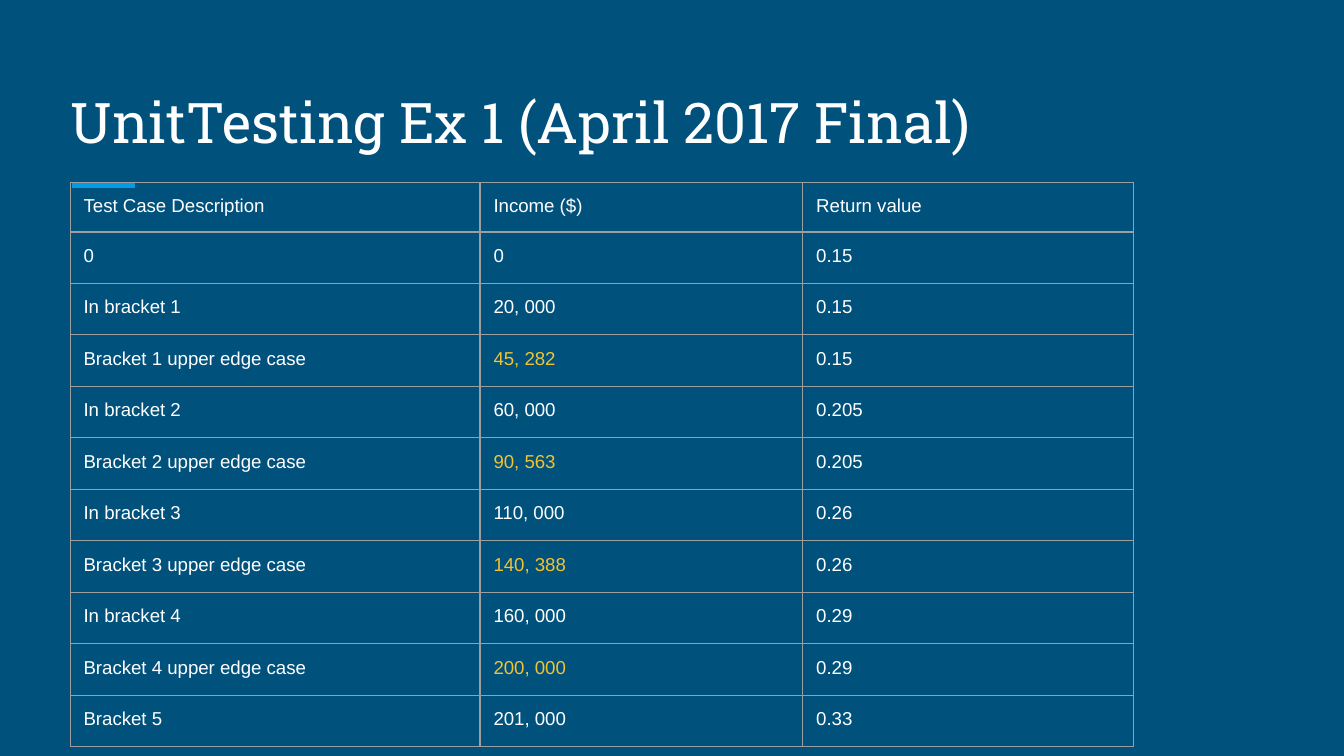
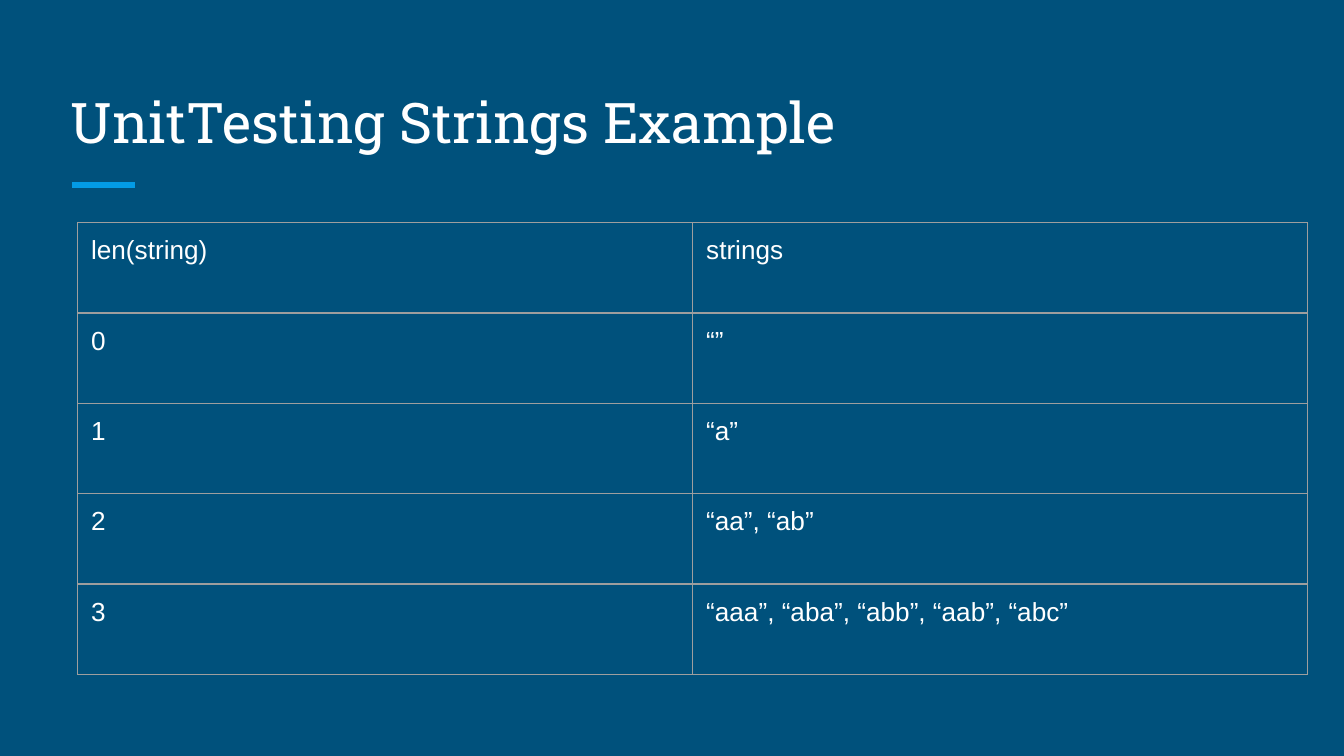
import pptx
import pptx.dml.color
import pptx.enum.shapes
import pptx.enum.text
import pptx.oxml
import pptx.oxml.ns
import pptx.util
import lxml.etree

Pt = pptx.util.Pt
COLORS = {
    "back": "00517C",
    "accent": "039BE5",
    "text": "FFFFFF",
    "edge": "F1C232",
    "grid": "9E9E9E",
}


def color(name):
    return pptx.dml.color.RGBColor.from_string(COLORS[name])


class Deck:
    head = "Roboto Slab"
    body = "Arial"
    inset = 7.2

    def __init__(self):
        self.prs = pptx.Presentation()
        self.prs.slide_width = Pt(720)
        self.prs.slide_height = Pt(405)
        self.slide = None

    def page(self, title):
        """Start a slide with its background, accent line and title."""
        self.slide = self.prs.slides.add_slide(self.prs.slide_layouts[6])
        fill = self.slide.background.fill
        fill.solid()
        fill.fore_color.rgb = color("back")
        self.line(38.6, 99.1, 72.2, 99.1)
        self.title(title)

    def line(self, x1, y1, x2, y2):
        kind = pptx.enum.shapes.MSO_CONNECTOR.STRAIGHT
        line = self.slide.shapes.add_connector(
            kind, Pt(x1), Pt(y1), Pt(x2), Pt(y2))
        line.line.color.rgb = color("accent")
        line.line.width = Pt(3)
        lxml.etree.SubElement(line._element.spPr,
                              pptx.oxml.ns.qn("a:effectLst"))

    def title(self, text):
        box = self.slide.shapes.add_textbox(Pt(30.7), Pt(36), Pt(658.5), Pt(54))
        frame = box.text_frame
        frame.word_wrap = True
        frame.vertical_anchor = pptx.enum.text.MSO_ANCHOR.BOTTOM
        self.pad(frame)
        self.run(frame, text, self.head, 30)

    def pad(self, item):
        """Set equal margins on a text frame or a cell."""
        item.margin_left = item.margin_right = Pt(self.inset)
        item.margin_top = item.margin_bottom = Pt(self.inset)

    def run(self, frame, text, font, size, tone="text"):
        run = frame.paragraphs[0].add_run()
        run.text = text
        run.font.name = font
        run.font.size = Pt(size)
        run.font.color.rgb = color(tone)

    def border(self, cell):
        props = cell._tc.get_or_add_tcPr()
        for side in "LRTB":
            props.append(pptx.oxml.parse_xml(
                f'<a:ln{side} {pptx.oxml.ns.nsdecls("a")} w="{Pt(0.75)}">'
                f'<a:solidFill><a:srgbClr val="{COLORS["grid"]}"/></a:solidFill>'
                f'</a:ln{side}>'))

    def table(self, left, top, cols, highs, rows, size, tone):
        """Draw a grid; tone(row, col) names the colour of a cell's text."""
        grid = self.slide.shapes.add_table(
            len(rows), len(cols), Pt(left), Pt(top),
            Pt(sum(cols)), Pt(sum(highs))).table
        grid.first_row = False
        grid.horz_banding = False
        for col, width in zip(grid.columns, cols):
            col.width = Pt(width)
        for i, (row, high) in enumerate(zip(rows, highs)):
            grid.rows[i].height = Pt(high)
            for j, text in enumerate(row):
                cell = grid.cell(i, j)
                self.pad(cell)
                self.border(cell)
                cell.fill.background()
                self.run(cell.text_frame, text, self.body, size, tone(row, j))


TAXES = [
    ("Test Case Description", "Income ($)", "Return value"),
    ("0", "0", "0.15"),
    ("In bracket 1", "20, 000", "0.15"),
    ("Bracket 1 upper edge case", "45, 282", "0.15"),
    ("In bracket 2", "60, 000", "0.205"),
    ("Bracket 2 upper edge case", "90, 563", "0.205"),
    ("In bracket 3", "110, 000", "0.26"),
    ("Bracket 3 upper edge case", "140, 388", "0.26"),
    ("In bracket 4", "160, 000", "0.29"),
    ("Bracket 4 upper edge case", "200, 000", "0.29"),
    ("Bracket 5", "201, 000", "0.33"),
]
STRINGS = [
    ("len(string)", "strings"),
    ("0", "“”"),
    ("1", "“a”"),
    ("2", "“aa”, “ab”"),
    ("3", "“aaa”, “aba”, “abb”, “aab”, “abc”"),
]


def main():
    deck = Deck()

    # Tax brackets: incomes of edge cases stand out
    deck.page("UnitTesting Ex 1 (April 2017 Final)")
    deck.table(37.6, 97.8, [219.6, 172.9, 177.3],
               [24.5] + [27.6] * (len(TAXES) - 1), TAXES, 10,
               lambda row, j: "edge" if j == 1 and "edge" in row[0] else "text")

    # Strings by length
    deck.page("UnitTesting Strings Example")
    deck.table(41.6, 119.3, [329.5] * 2, [48.4] * len(STRINGS), STRINGS, 14,
               lambda row, j: "text")

    deck.prs.save("out.pptx")


if __name__ == "__main__":
    main()
